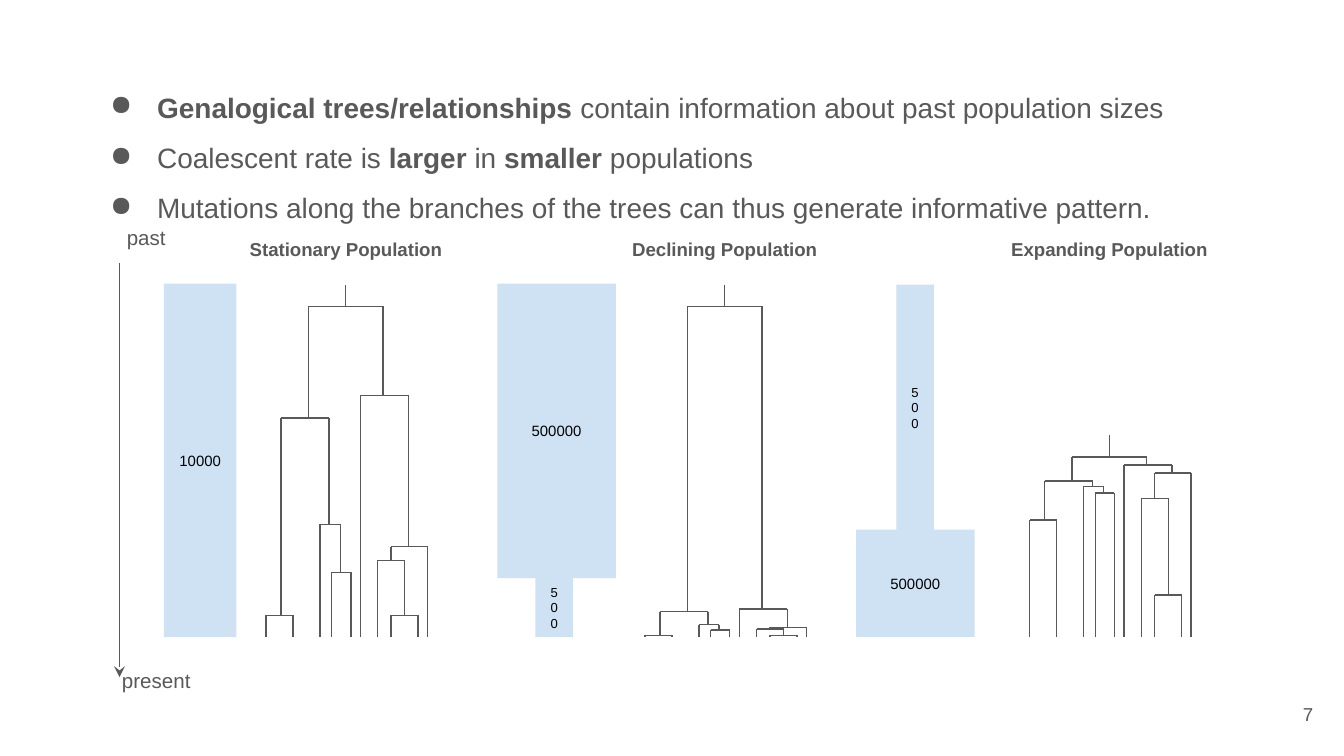
from lxml import etree
from pptx import Presentation
from pptx.dml.color import RGBColor
from pptx.enum import shapes, text
from pptx.oxml import ns
from pptx.util import Cm, Pt

COLORS = {"ink": "595959", "label": "000000", "size_box": "CFE2F3"}
FONT = "Arial"

# Parts between double asterisks are bold.
BULLETS = [
    "**Genalogical trees/relationships** contain information about past population sizes",
    "Coalescent rate is **larger** in **smaller **populations",
    "Mutations along the branches of the trees can thus generate informative pattern.",
]
PAGE_NUMBER = "7"
TIME_LABELS = [("past", (2.08, 3.99, 1.37, 0.99)), ("present", (1.75, 12.37, 2.41, 0.99))]
TIME_ARROW = (2.26, 4.98, 2.26, 12.8)

# All trees share one shape: node -> (left x, right x, left child, right child),
# with x in cm from the leftmost tip and None for a tip.
TREE = {
    "root": (0.8, 2.21, "A", "B"),
    "A": (0.28, 1.19, "E", "C"),
    "B": (1.78, 2.69, None, "F"),
    "C": (1.02, 1.4, None, "D"),
    "D": (1.24, 1.6, None, None),
    "E": (0, 0.51, None, None),
    "F": (2.36, 3.05, "G", None),
    "G": (2.11, 2.62, None, "H"),
    "H": (2.36, 2.87, None, None),
}
TIP_Y = 12.05
STEM_HEIGHT = 0.41
TITLE_TOP, TITLE_WIDTH, TITLE_HEIGHT = 4.28, 5.36, 0.94

# Boxes: label, font size, (left, top, width, height). Levels: y of each node.
SCENARIOS = [
    {
        "title": "Stationary Population",
        "left": 5.03,
        "boxes": [("10000", 8, (3.1, 5.36, 1.37, 6.68))],
        "levels": {"root": 5.79, "A": 7.9, "B": 7.47, "C": 9.91, "D": 10.82,
                   "E": 11.63, "F": 10.33, "G": 10.59, "H": 11.63},
    },
    {
        "title": "Declining Population",
        "left": 12.19,
        "boxes": [("500000", 8, (9.4, 5.36, 2.24, 5.57)),
                  ("500", 7, (10.12, 10.93, 0.71, 1.11))],
        "levels": {"root": 5.79, "A": 11.56, "B": 11.51, "C": 11.81, "D": 11.91,
                   "E": 12.01, "F": 11.86, "G": 11.89, "H": 12.01},
    },
    {
        "title": "Expanding Population",
        "left": 19.46,
        "boxes": [("500000", 8, (16.18, 10.01, 2.24, 2.03)),
                  ("500", 7, (16.94, 5.38, 0.71, 4.65))],
        "levels": {"root": 8.64, "A": 9.09, "B": 8.79, "C": 9.19, "D": 9.32,
                   "E": 9.83, "F": 8.94, "G": 9.42, "H": 11.25},
    },
]


def rgb(name):
    return RGBColor.from_string(COLORS[name])


def add_bullet(paragraph):
    properties = paragraph._p.get_or_add_pPr()
    properties.set("marL", str(Cm(1.27)))
    properties.set("indent", str(Cm(-0.89)))
    color = etree.SubElement(properties, ns.qn("a:buClr"))
    etree.SubElement(color, ns.qn("a:srgbClr")).set("val", COLORS["ink"])
    etree.SubElement(properties, ns.qn("a:buChar")).set("char", "●")


def write(shape, *lines, size=10, color="ink", bold=False, bullet=False,
          align=text.PP_ALIGN.CENTER, anchor=text.MSO_ANCHOR.MIDDLE, spacing=None):
    """Fill a shape with one paragraph per line; ** switches bold."""
    frame = shape.text_frame
    frame.word_wrap = True
    frame.vertical_anchor = anchor
    frame.margin_left = frame.margin_right = Cm(0.25)
    frame.margin_top = frame.margin_bottom = Cm(0.25)
    for index, line in enumerate(lines):
        paragraph = frame.add_paragraph() if index else frame.paragraphs[0]
        paragraph.alignment = align
        if spacing:
            paragraph.line_spacing = spacing
        if bullet:
            add_bullet(paragraph)
        for part, words in enumerate(line.split("**")):
            if words:
                run = paragraph.add_run()
                run.text = words
                run.font.name = FONT
                run.font.size = Pt(size)
                run.font.bold = bold or part % 2 == 1
                run.font.color.rgb = rgb(color)


def add_text(parent, box, *lines, **style):
    write(parent.add_textbox(*map(Cm, box)), *lines, **style)


def add_line(parent, *ends, arrow=False):
    line = parent.add_connector(shapes.MSO_CONNECTOR.STRAIGHT, *map(Cm, ends))
    line.line.color.rgb = rgb("ink")
    line.line.width = Pt(0.75)
    if arrow:
        etree.SubElement(line.line._get_or_add_ln(), ns.qn("a:tailEnd")).set("type", "stealth")
    etree.SubElement(line._element.spPr, ns.qn("a:effectLst"))


def add_size_box(parent, label, size, box):
    shape = parent.add_shape(shapes.MSO_SHAPE.RECTANGLE, *map(Cm, box))
    shape.shadow.inherit = False
    shape.fill.solid()
    shape.fill.fore_color.rgb = rgb("size_box")
    shape.line.fill.background()
    write(shape, label, size=size, color="label")


def add_tree(parent, left, levels):
    """Draw the shared tree with its nodes at the given levels; return the stem's x."""
    for node, (x1, x2, *children) in TREE.items():
        y = levels[node]
        add_line(parent, left + x1, y, left + x2, y)
        for x, child in zip((x1, x2), children):
            add_line(parent, left + x, y, left + x, levels.get(child, TIP_Y))
    stem_x = left + sum(TREE["root"][:2]) / 2
    add_line(parent, stem_x, levels["root"], stem_x, levels["root"] - STEM_HEIGHT)
    return stem_x


def main():
    presentation = Presentation()
    presentation.slide_width, presentation.slide_height = Cm(25.4), Cm(14.29)
    slide = presentation.slides.add_slide(presentation.slide_layouts[6])

    add_text(slide.shapes, (1.45, 1.14, 22.89, 2.51), *BULLETS, size=15, bullet=True,
             align=text.PP_ALIGN.LEFT, anchor=text.MSO_ANCHOR.TOP, spacing=1.5)
    add_text(slide.shapes, (23.55, 12.95, 1.52, 1.09), PAGE_NUMBER,
             align=text.PP_ALIGN.RIGHT)

    timeline = slide.shapes.add_group_shape().shapes
    add_line(timeline, *TIME_ARROW, arrow=True)
    for label, box in TIME_LABELS:
        add_text(timeline, box, label, size=11)

    for scenario in SCENARIOS:
        group = slide.shapes.add_group_shape().shapes
        for box in scenario["boxes"]:
            add_size_box(group, *box)
        stem_x = add_tree(group, scenario["left"], scenario["levels"])
        add_text(group, (stem_x - TITLE_WIDTH / 2, TITLE_TOP, TITLE_WIDTH, TITLE_HEIGHT),
                 scenario["title"], bold=True, anchor=text.MSO_ANCHOR.TOP)

    presentation.save("out.pptx")


if __name__ == "__main__":
    main()
